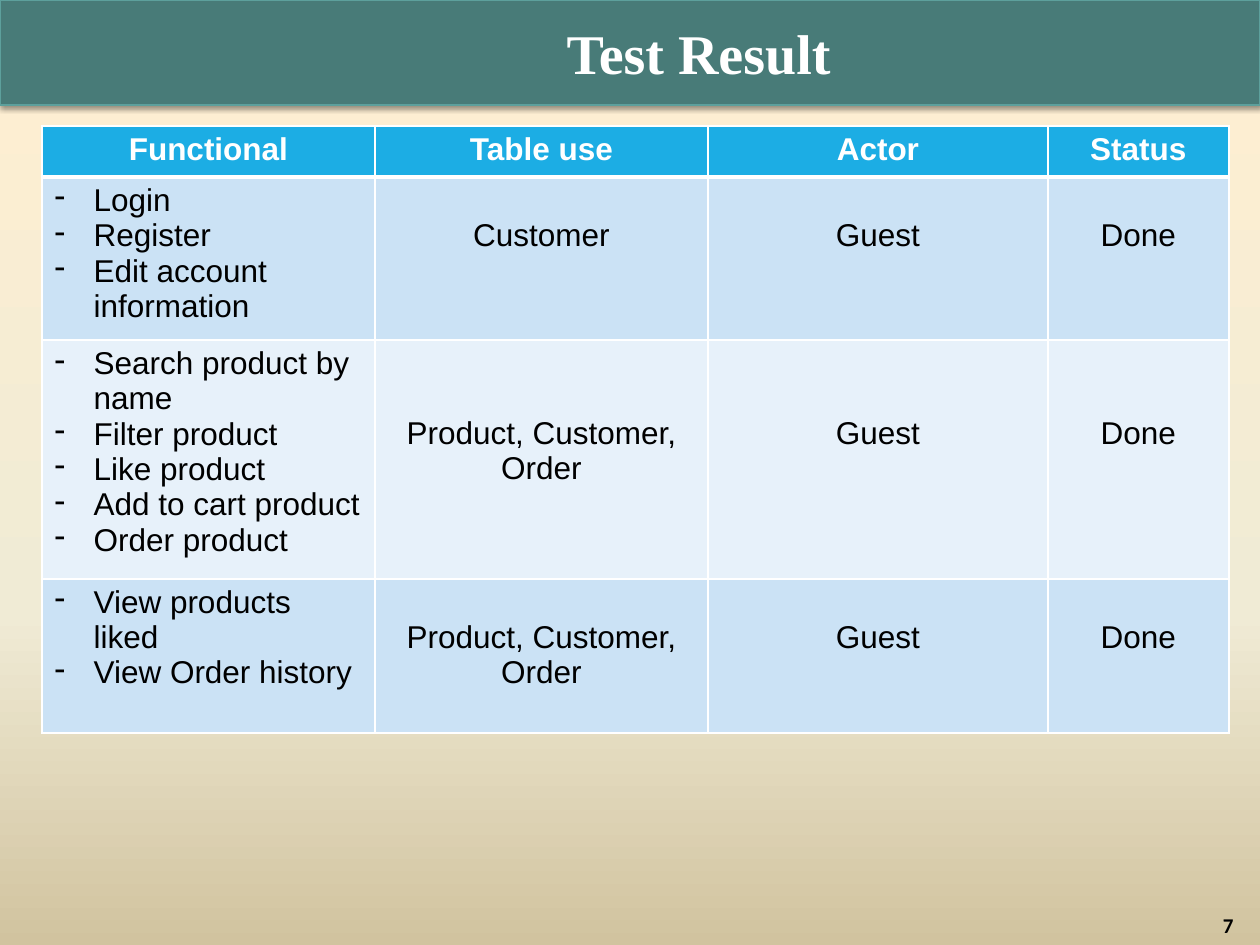
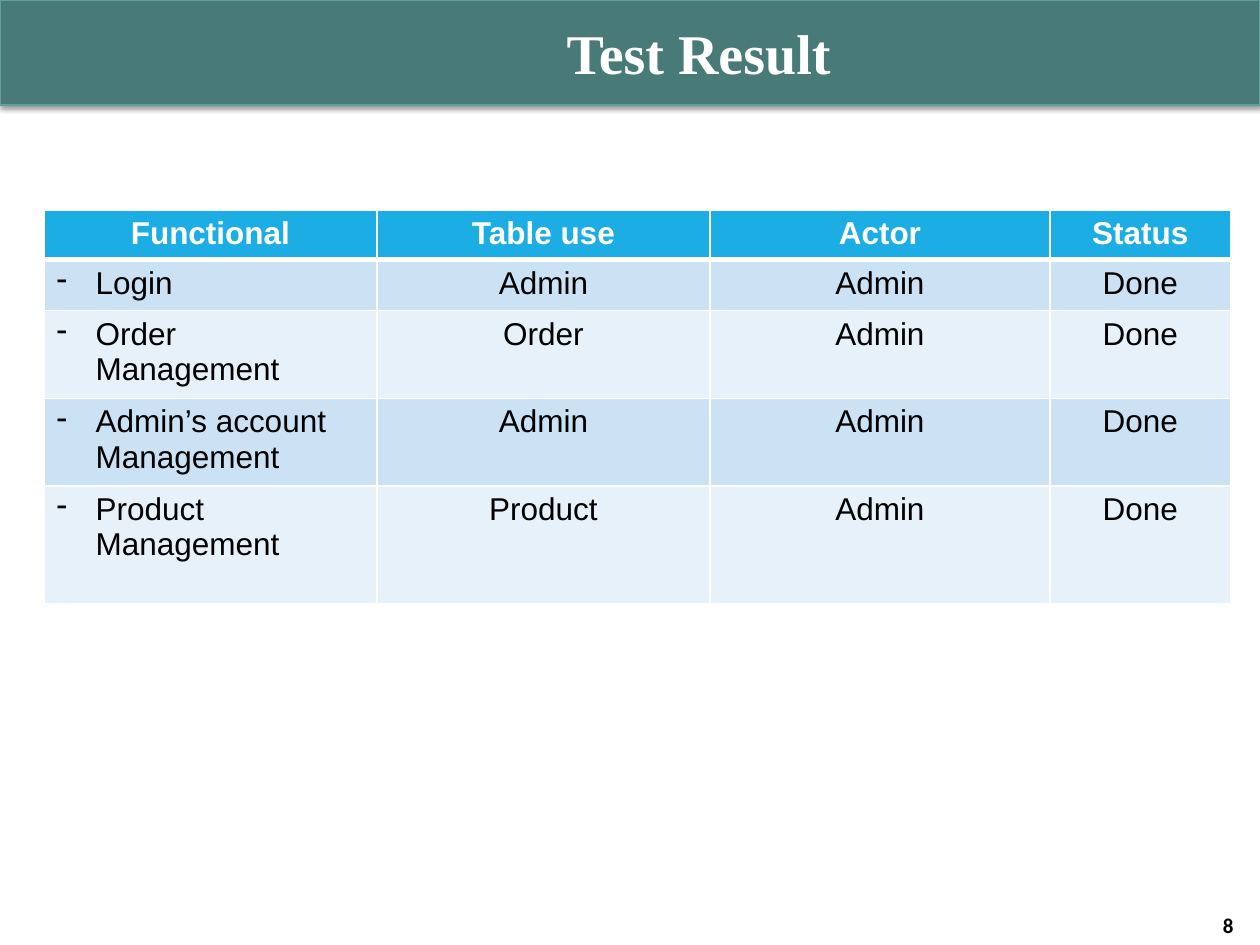
from copy import deepcopy

from lxml.etree import SubElement
from pptx import Presentation
from pptx.dml.color import RGBColor
from pptx.enum.shapes import MSO_SHAPE
from pptx.enum.text import MSO_ANCHOR, PP_ALIGN
from pptx.oxml import parse_xml
from pptx.oxml.ns import nsdecls, qn
from pptx.util import Pt

SCALE = 914400 / 126  # EMU per px

WHITE = RGBColor(0xFF, 0xFF, 0xFF)
BLACK = RGBColor(0x00, 0x00, 0x00)
BAND = RGBColor(0x48, 0x7B, 0x78)
BAND_EDGE = RGBColor(0x5D, 0xA0, 0x9C)
HEADER = RGBColor(0x1C, 0xAD, 0xE4)
ROW_DARK = RGBColor(0xCB, 0xE2, 0xF5)
ROW_LIGHT = RGBColor(0xE7, 0xF1, 0xFA)
SAND = [(0, RGBColor(0xFF, 0xEF, 0xD1)),
        (0.65, RGBColor(0xF0, 0xEB, 0xD5)),
        (1, RGBColor(0xD1, 0xC3, 0x9F))]

HEADINGS = ["Functional", "Table use", "Actor", "Status"]
COLUMN_WIDTHS = [333, 333, 340, 181]
CELL_INSET = 6
LINE_HEIGHT = 35
BULLET_INDENT = 39


def px(length):
    return round(length * SCALE)


class Deck:
    """Shared style and the slide being built."""

    def __init__(self):
        self.prs = Presentation()
        self.prs.slide_width = px(1260)
        self.prs.slide_height = px(945)
        self.slide = None

    def new_slide(self, title, number):
        self.slide = self.prs.slides.add_slide(self.prs.slide_layouts[5])
        self.plain_background()
        self.band()
        self.title(title)
        self.page_number(number)

    def plain_background(self):
        fill = self.slide.background.fill
        fill.solid()
        fill.fore_color.rgb = WHITE

    def gradient_background(self, stops):
        fill = self.slide.background.fill
        fill.gradient()
        fill.gradient_angle = 270
        stop_list = next(self.slide.element.iter(qn("a:gsLst")))
        stop_list.insert(1, deepcopy(stop_list[0]))
        for stop, (position, color) in zip(fill.gradient_stops, stops):
            stop.position = position
            stop.color.rgb = color

    def band(self):
        band = self.slide.shapes.add_shape(
            MSO_SHAPE.RECTANGLE, 0, 0, px(1260), px(105))
        band.fill.solid()
        band.fill.fore_color.rgb = BAND
        band.line.color.rgb = BAND_EDGE
        band.line.width = Pt(0.75)
        band.element.spPr.append(parse_xml(
            f'<a:effectLst {nsdecls("a")}>'
            f'<a:outerShdw blurRad="{Pt(3.1)}" dist="{Pt(1.6)}" dir="5400000" rotWithShape="0">'
            '<a:srgbClr val="000000"><a:alpha val="38000"/></a:srgbClr>'
            '</a:outerShdw></a:effectLst>'))

    def title(self, text):
        title = self.slide.shapes.title
        title.left, title.top, title.width, title.height = map(px, (42, 10, 1187, 84))
        self.slide.shapes.element.append(title.element)  # in front of the band
        frame = title.text_frame
        frame.margin_left = px(139)
        frame.vertical_anchor = MSO_ANCHOR.MIDDLE
        self.add_text(frame.paragraphs[0], text, 32, "Times New Roman", WHITE, True)

    def page_number(self, number):
        box = self.slide.shapes.add_textbox(*map(px, (15, 914, 1231, 23)))
        frame = box.text_frame
        frame.word_wrap = True
        frame.vertical_anchor = MSO_ANCHOR.MIDDLE
        self.add_text(frame.paragraphs[0], str(number), 12, "Calibri", BLACK, True,
                      PP_ALIGN.RIGHT)

    def add_text(self, paragraph, text, size, font, color, bold=False,
                 align=PP_ALIGN.CENTER):
        paragraph.alignment = align
        run = paragraph.add_run()
        run.text = text
        run.font.size = Pt(size)
        run.font.name = font
        run.font.color.rgb = color
        run.font.bold = bold

    def results_table(self, left, top, heights, results):
        """Each result: functions, table used, actor, lines above the centred text."""
        table = self.slide.shapes.add_table(
            len(heights), len(HEADINGS), px(left), px(top),
            px(sum(COLUMN_WIDTHS)), px(sum(heights))).table
        for column, width in zip(table.columns, COLUMN_WIDTHS):
            column.width = px(width)
        for row, height in zip(table.rows, heights):
            row.height = px(height)

        # Header row
        for cell, heading in zip(table.rows[0].cells, HEADINGS):
            self.style_cell(cell, HEADER, bottom=3)
            self.add_text(cell.text_frame.paragraphs[0], heading, 18, "Arial", WHITE, True)

        # Result rows
        for index, (functions, used, actor, lines_above) in enumerate(results, 1):
            fill = ROW_DARK if index % 2 else ROW_LIGHT
            cells = list(table.rows[index].cells)
            for cell in cells:
                self.style_cell(cell, fill, top=3 if index == 1 else 1)
            self.bullets(cells[0].text_frame, functions)
            for cell, text in zip(cells[1:], (used, actor, "Done")):
                cell.margin_top = px(CELL_INSET + lines_above * LINE_HEIGHT)
                self.add_text(cell.text_frame.paragraphs[0], text, 18, "Arial", BLACK)

    def style_cell(self, cell, color, top=1, bottom=1):
        cell.margin_top = cell.margin_bottom = px(CELL_INSET)
        cell.fill.solid()
        cell.fill.fore_color.rgb = color
        properties = cell._tc.get_or_add_tcPr()
        sides = {"L": 1, "R": 1, "T": top, "B": bottom}
        for place, (side, width) in enumerate(sides.items()):
            properties.insert(place, parse_xml(
                f'<a:ln{side} {nsdecls("a")} w="{Pt(width)}"><a:solidFill>'
                f'<a:srgbClr val="{WHITE}"/></a:solidFill></a:ln{side}>'))

    def bullets(self, frame, items):
        for index, item in enumerate(items):
            paragraph = frame.add_paragraph() if index else frame.paragraphs[0]
            self.add_text(paragraph, item, 18, "Arial", BLACK, align=PP_ALIGN.LEFT)
            properties = paragraph._p.get_or_add_pPr()
            properties.set("marL", str(px(BULLET_INDENT)))
            properties.set("indent", str(-px(BULLET_INDENT)))
            SubElement(properties, qn("a:buChar")).set("char", "-")


def main():
    deck = Deck()

    # Guest functions
    deck.new_slide("Test Result", 7)
    deck.gradient_background(SAND)
    deck.results_table(42, 126, [51, 154, 224, 154], [
        (["Login", "Register", "Edit account information"], "Customer", "Guest", 1),
        (["Search product by name", "Filter product", "Like product",
          "Add to cart product", "Order product"],
         "Product, Customer, Order", "Guest", 2),
        (["View products liked", "View Order history"],
         "Product, Customer, Order", "Guest", 1),
    ])

    # Admin functions
    deck.new_slide("Test Result", 8)
    deck.results_table(44, 210, [48, 51, 83, 83, 118], [
        (["Login"], "Admin", "Admin", 0),
        (["Order Management"], "Order", "Admin", 0),
        (["Admin’s account Management"], "Admin", "Admin", 0),
        (["Product Management"], "Product", "Admin", 0),
    ])

    deck.prs.save("out.pptx")


if __name__ == "__main__":
    main()
